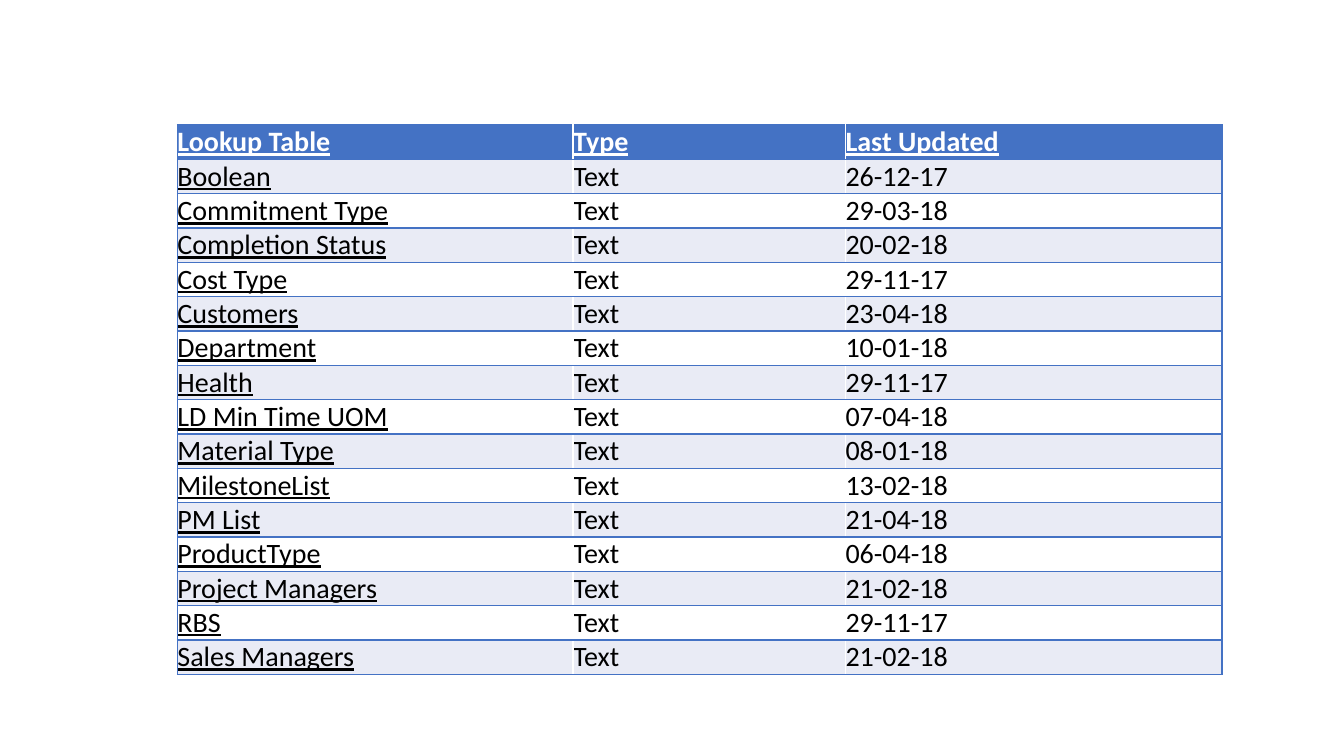
from lxml.etree import SubElement
from pptx import Presentation
from pptx.dml.color import RGBColor
from pptx.enum.text import MSO_ANCHOR as Anchor
from pptx.oxml.ns import qn
from pptx.util import Inches, Pt

BLUE, PALE, WHITE, BLACK = "4472C4", "E9EBF5", "FFFFFF", "000000"
HEADINGS = ("Lookup Table", "Type", "Last Updated")
LOOKUPS = (
    ("Boolean", "26-12-17"),
    ("Commitment Type", "29-03-18"),
    ("Completion Status", "20-02-18"),
    ("Cost Type", "29-11-17"),
    ("Customers", "23-04-18"),
    ("Department", "10-01-18"),
    ("Health", "29-11-17"),
    ("LD Min Time UOM", "07-04-18"),
    ("Material Type", "08-01-18"),
    ("MilestoneList", "13-02-18"),
    ("PM List", "21-04-18"),
    ("ProductType", "06-04-18"),
    ("Project Managers", "21-02-18"),
    ("RBS", "29-11-17"),
    ("Sales Managers", "21-02-18"),
)


def color(value):
    """Turn a hex string into a colour."""
    return RGBColor.from_string(value)


def add_borders(cell, sides):
    """Draw one-point blue lines on the given sides, in L, R, T, B order."""
    properties = cell._tc.get_or_add_tcPr()
    for side in sides:
        line = SubElement(properties, qn(f"a:ln{side}"), w=str(Pt(1)))
        SubElement(SubElement(line, qn("a:solidFill")), qn("a:srgbClr"), val=BLUE)


def fill_cell(cell, text, fill, ink, bold, underline, sides):
    """Write and format one table cell."""
    add_borders(cell, sides)
    cell.fill.solid()
    cell.fill.fore_color.rgb = color(fill)
    cell.margin_left = cell.margin_right = cell.margin_top = cell.margin_bottom = 0
    cell.vertical_anchor = Anchor.MIDDLE
    cell.text = text
    font = cell.text_frame.paragraphs[0].font
    font.name, font.size = "Calibri", Pt(20)
    font.bold, font.underline = bold, underline
    font.color.rgb = color(ink)


def add_lookup_table(slide, left, top, width, height):
    """Place the list of lookup tables in the given box."""
    records = [HEADINGS] + [(name, "Text", updated) for name, updated in LOOKUPS]
    table = slide.shapes.add_table(
        len(records), len(HEADINGS),
        Inches(left), Inches(top), Inches(width), Inches(height),
    ).table
    for column, share in zip(table.columns, (3.92, 2.7, 3.73)):
        column.width = Inches(width * share / 10.35)
    for index, record in enumerate(records):
        header = index == 0
        table.rows[index].height = Inches(0.29 if header else 0.34)
        fill = BLUE if header else PALE if index % 2 else WHITE
        ink = WHITE if header else BLACK
        for position, (text, sides) in enumerate(zip(record, ("LTB", "TB", "RTB"))):
            underline = header or position == 0
            fill_cell(table.cell(index, position), text, fill, ink, header, underline, sides)


def main():
    """Build the slide and save it."""
    deck = Presentation()
    deck.slide_width, deck.slide_height = Inches(13.33), Inches(7.5)
    slide = deck.slides.add_slide(deck.slide_layouts[6])
    add_lookup_table(slide, 1.76, 1.24, 10.36, 5.46)
    deck.save("out.pptx")


if __name__ == "__main__":
    main()
